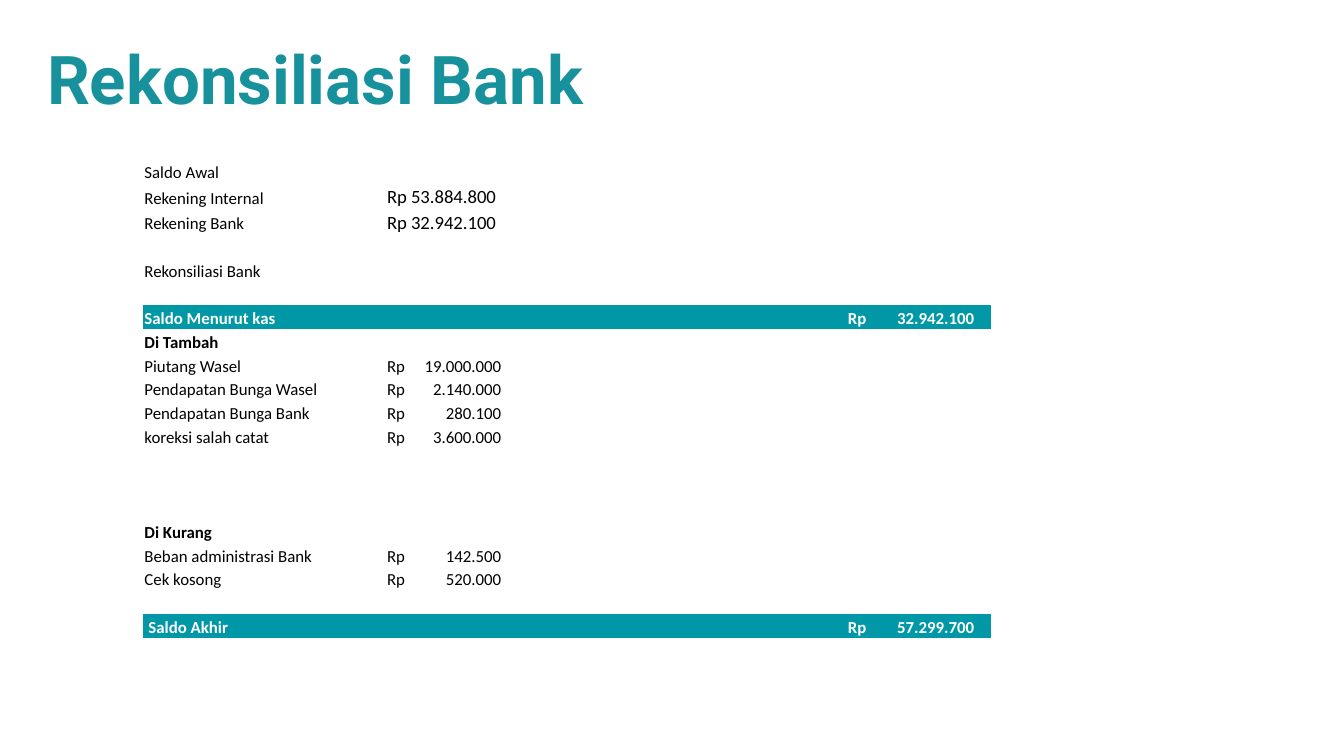
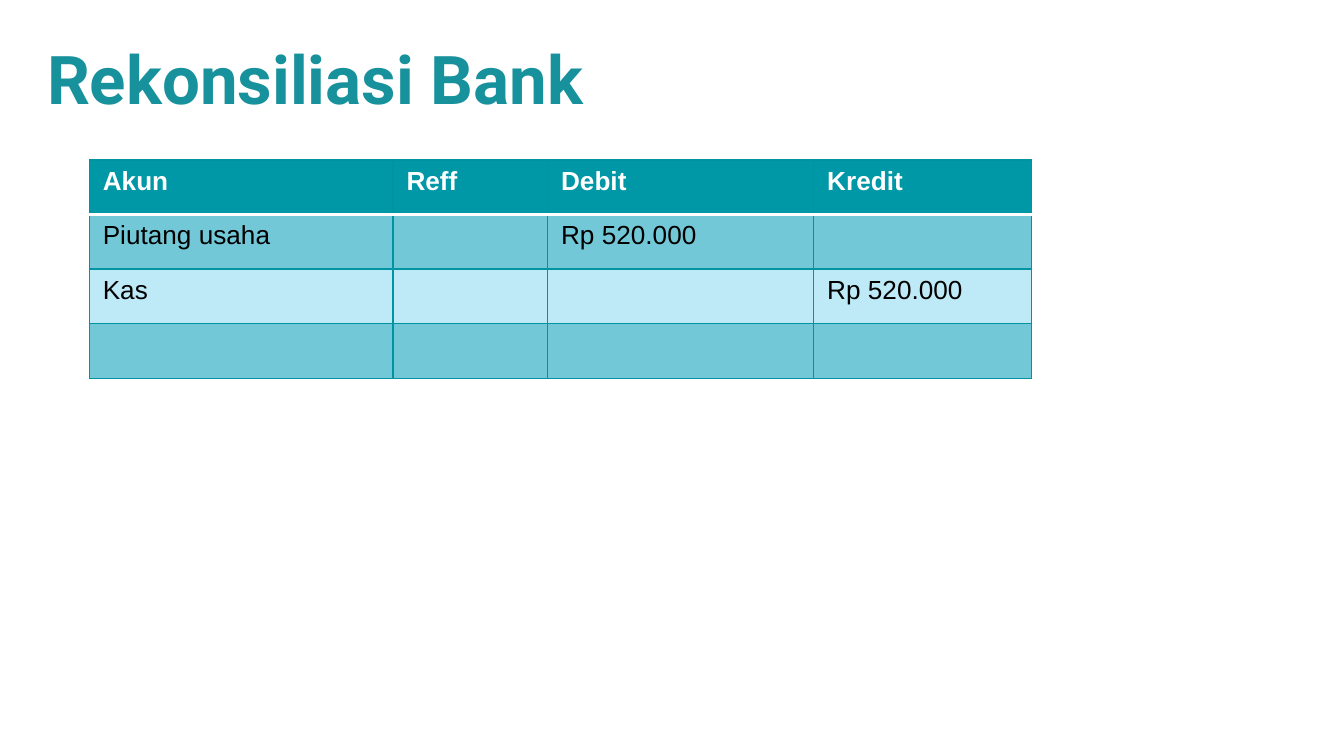
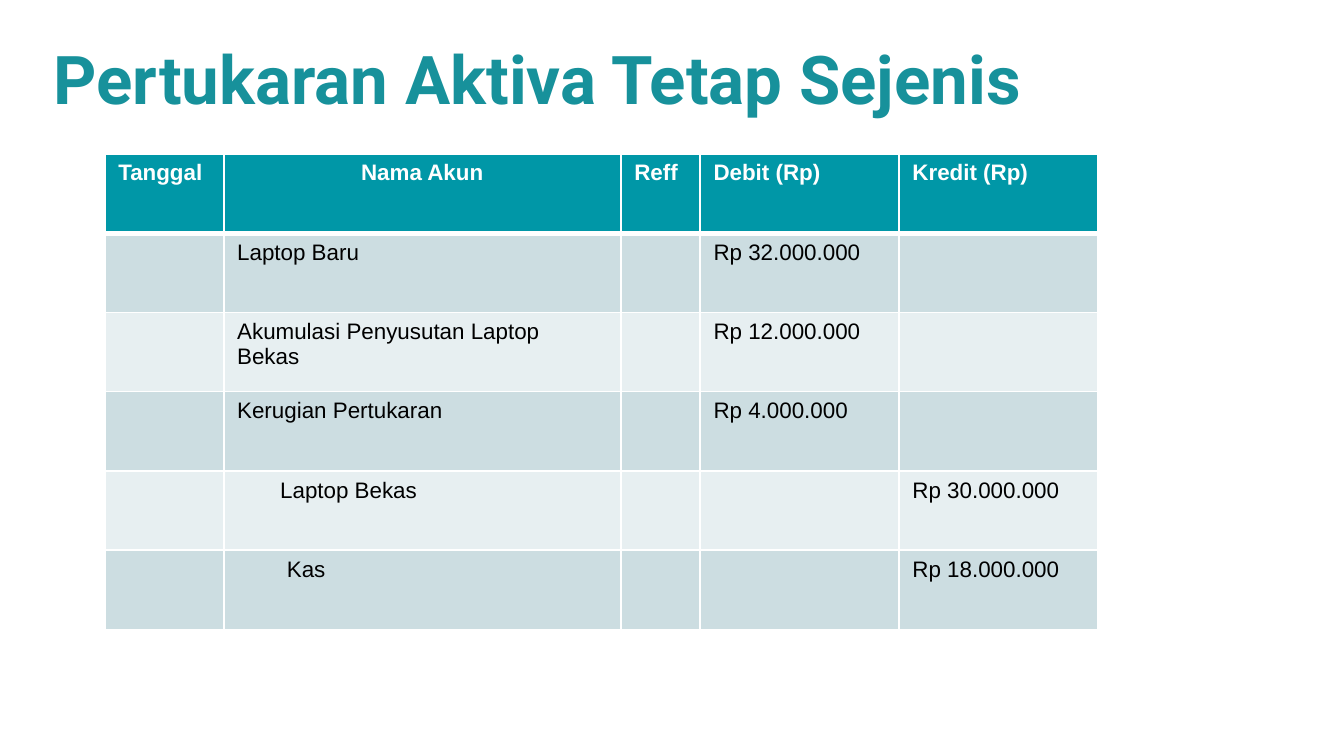
from lxml import etree
from pptx import Presentation
from pptx import util as u
from pptx.dml.color import RGBColor
from pptx.enum import text
from pptx.oxml.ns import qn

WIDTH = u.Inches(10)
HEIGHT = u.Emu(WIDTH * 9 // 16)
GRID = WIDTH / 100
TEAL, TITLE_TEAL, EDGE_TEAL = "0097A7", "17919B", "0094A3"
WHITE, BLACK = "FFFFFF", "000000"
PLAIN_STYLE = "{2D5ABB26-0587-4C30-8999-92F81FD0307C}"
LEFT, CENTER = text.PP_ALIGN.LEFT, text.PP_ALIGN.CENTER
TOP, BOTTOM = text.MSO_ANCHOR.TOP, text.MSO_ANCHOR.BOTTOM


def cells(count):
    return u.Emu(round(count * GRID))


def color(code):
    return RGBColor.from_string(code)


def add_span(para, words, font, size, ink, bold=False):
    span = para.add_run()
    span.text = words
    span.font.name = font
    span.font.size = u.Pt(size)
    span.font.bold = bold
    span.font.color.rgb = color(ink)


def set_indent(para, count):
    properties = para._p.get_or_add_pPr()
    properties.set("marL", str(cells(count)))
    properties.set("indent", "0")


def set_right_tab(para, count):
    stops = etree.SubElement(para._p.get_or_add_pPr(), qn("a:tabLst"))
    etree.SubElement(stops, qn("a:tab"), pos=str(cells(count)), algn="r")


def set_empty_size(para, size):
    etree.SubElement(para._p, qn("a:endParaRPr"), sz=str(size * 100))


def set_border(cell, side, ink, points):
    line = etree.SubElement(cell._tc.get_or_add_tcPr(), qn("a:ln" + side),
                            w=str(u.Pt(points)))
    solid = etree.SubElement(line, qn("a:solidFill"))
    etree.SubElement(solid, qn("a:srgbClr"), val=ink)


def set_borders(cell, side_line, top_line, bottom_line):
    set_border(cell, "L", *side_line)
    set_border(cell, "R", *side_line)
    set_border(cell, "T", *top_line)
    set_border(cell, "B", *bottom_line)


def set_fill(cell, ink):
    if ink:
        cell.fill.solid()
        cell.fill.fore_color.rgb = color(ink)
    else:
        cell.fill.background()


def add_page(deck, heading, left):
    page = deck.slides.add_slide(deck.slide_layouts[5])
    box = page.shapes.title
    box.left, box.top = cells(left), cells(2.65)
    box.width, box.height = cells(96.7 - left), cells(6.2)
    frame = box.text_frame
    frame.margin_left = frame.margin_right = frame.margin_bottom = 0
    frame.margin_top = cells(0.1)
    frame.vertical_anchor = TOP
    frame.auto_size = text.MSO_AUTO_SIZE.NONE
    frame.word_wrap = True
    para = frame.paragraphs[0]
    para.alignment = LEFT
    set_indent(para, 0.1)
    add_span(para, heading, "Roboto", 36, TITLE_TEAL, True)
    return page


def add_grid(page, left, top, columns, rows):
    frame = page.shapes.add_table(len(rows), len(columns), cells(left), cells(top),
                                  cells(sum(columns)), cells(sum(rows)))
    table = frame.table
    table.horz_banding = False
    frame._element.find(".//" + qn("a:tableStyleId")).text = PLAIN_STYLE
    for column, width in zip(table.columns, columns):
        column.width = cells(width)
    for row, height in zip(table.rows, rows):
        row.height = cells(height)
    return table


def add_journal(page, left, top, columns, row_height, entries, size, fills,
                edge_line, header_line, indents=None, centered=()):
    table = add_grid(page, left, top, columns, [row_height] * len(entries))
    for row, entry in enumerate(entries):
        header = row == 0
        for column, words in enumerate(entry):
            cell = table.cell(row, column)
            set_borders(cell, edge_line,
                        header_line if row == 1 else edge_line,
                        header_line if header else edge_line)
            set_fill(cell, TEAL if header else fills[(row - 1) % 2])
            para = cell.text_frame.paragraphs[0]
            if header and column in centered:
                para.alignment = CENTER
            if words:
                if indents and words in indents:
                    set_indent(para, indents[words])
                add_span(para, words, "Arial", size, WHITE if header else BLACK, header)
            else:
                set_empty_size(para, size)


def add_statement(page, entries):
    columns = [17.8, 10.2, 9.4, 8.6, 6.1, 11]
    balances = {"Rekening Internal", "Rekening Bank"}
    totals = {"Saldo Menurut kas", "Saldo Akhir"}
    headings = {"Di Tambah", "Di Kurang"}
    rows = [1.89 if label in balances else 1.77 for label, amount in entries]
    table = add_grid(page, 10.65, 10.1, columns, rows)
    table.first_row = False
    for row, (label, amount) in enumerate(entries):
        total = label in totals
        amount_column = len(columns) - 1 if total else 1
        for column in range(len(columns)):
            cell = table.cell(row, column)
            cell.vertical_anchor = BOTTOM
            cell.margin_left = cell.margin_right = cell.margin_top = cells(0.1)
            cell.margin_bottom = 0
            set_fill(cell, TEAL if total else None)
            para = cell.text_frame.paragraphs[0]
            ink = WHITE if total else BLACK
            if column == 0 and label:
                if label == "Saldo Akhir":
                    cell.margin_left = cells(0.4)
                add_span(para, label, "Calibri", 9, ink, total or label in headings)
            elif column == amount_column and amount:
                cell.margin_left = cells(0.35)
                if "\t" in amount:
                    set_right_tab(para, 9.4 if total else 8.5)
                add_span(para, amount, "Calibri", 10 if label in balances else 9, ink, total)
            else:
                set_empty_size(para, 9)


def main():
    deck = Presentation()
    deck.slide_width, deck.slide_height = WIDTH, HEIGHT

    page = add_page(deck, "Rekonsiliasi Bank", 3.4)
    add_statement(page, [
        ("", ""),
        ("Saldo Awal", ""),
        ("Rekening Internal", "Rp 53.884.800"),
        ("Rekening Bank", "Rp 32.942.100"),
        ("", ""),
        ("Rekonsiliasi Bank", ""),
        ("", ""),
        ("Saldo Menurut kas", "Rp\t32.942.100"),
        ("Di Tambah", ""),
        ("Piutang Wasel", "Rp\t19.000.000"),
        ("Pendapatan Bunga Wasel", "Rp\t2.140.000"),
        ("Pendapatan Bunga Bank", "Rp\t280.100"),
        ("koreksi salah catat", "Rp\t3.600.000"),
        ("", ""),
        ("", ""),
        ("", ""),
        ("Di Kurang", ""),
        ("Beban administrasi Bank", "Rp\t142.500"),
        ("Cek kosong", "Rp\t520.000"),
        ("", ""),
        ("Saldo Akhir", "Rp\t57.299.700"),
    ])

    page = add_page(deck, "Rekonsiliasi Bank", 3.4)
    add_journal(page, 6.65, 11.9, [22.6, 11.5, 19.8, 16.2], 4.06, [
        ("Akun", "Reff", "Debit", "Kredit"),
        ("Piutang usaha", "", "Rp 520.000", ""),
        ("Kas", "", "", "Rp 520.000"),
        ("", "", "", ""),
    ], 14, ("72C8D7", "BEE9F7"), (EDGE_TEAL, 0.75), (WHITE, 2))

    page = add_page(deck, "Pertukaran Aktiva Tetap Sejenis", 3.9)
    add_journal(page, 7.8, 11.45, [8.85, 29.55, 5.9, 14.8, 14.8], 5.9, [
        ("Tanggal", "Nama Akun", "Reff", "Debit (Rp)", "Kredit (Rp)"),
        ("", "Laptop Baru", "", "Rp 32.000.000", ""),
        ("", "Akumulasi Penyusutan Laptop Bekas", "", "Rp 12.000.000", ""),
        ("", "Kerugian Pertukaran", "", "Rp 4.000.000", ""),
        ("", "Laptop Bekas", "", "", "Rp 30.000.000"),
        ("", "Kas", "", "", "Rp 18.000.000"),
    ], 12, ("CCDDE1", "E7EFF1"), (WHITE, 1), (WHITE, 3),
        indents={"Laptop Bekas": 3.2, "Kas": 3.7}, centered=(1,))

    deck.save("out.pptx")


if __name__ == "__main__":
    main()
